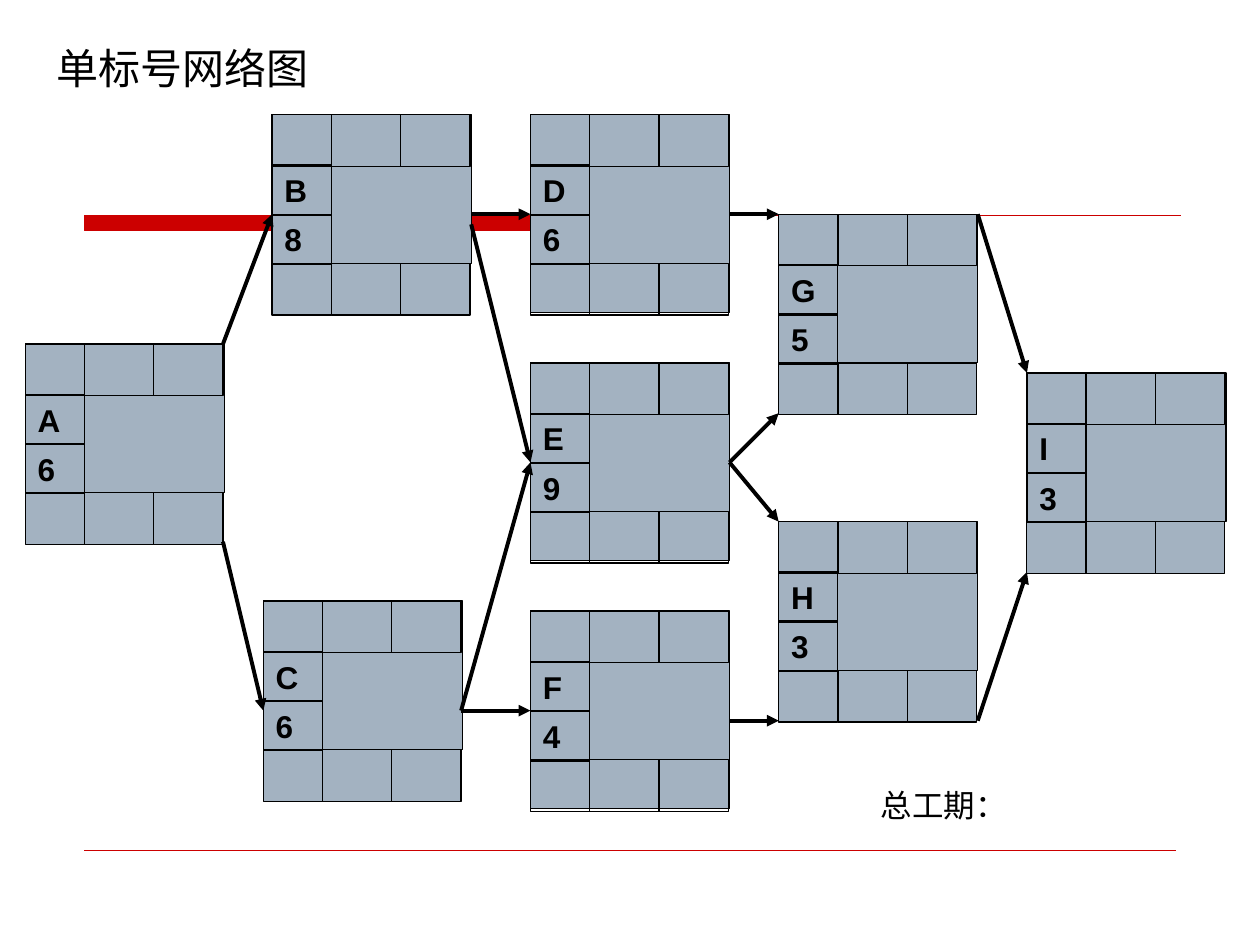
from pptx import Presentation
from pptx.dml.color import RGBColor
from pptx.enum.shapes import MSO_CONNECTOR, MSO_SHAPE
from pptx.enum.text import MSO_ANCHOR, MSO_AUTO_SIZE, PP_ALIGN
from pptx.oxml.ns import qn
from pptx.util import Inches, Pt
from lxml.etree import SubElement

RED = RGBColor(0xCC, 0x00, 0x00)
BLACK = RGBColor(0x00, 0x00, 0x00)
STEEL = RGBColor(0xA3, 0xB2, 0xC1)

deck = Presentation()
deck.slide_width = Inches(10)
deck.slide_height = Inches(7.5)
slide = deck.slides.add_slide(deck.slide_layouts[5])
shapes = slide.shapes


def write(shape, text, size, bold=False):
    frame = shape.text_frame
    frame.text = text
    frame.word_wrap = True
    frame.auto_size = MSO_AUTO_SIZE.NONE
    frame.vertical_anchor = MSO_ANCHOR.TOP
    line = frame.paragraphs[0]
    line.alignment = PP_ALIGN.LEFT
    font = line.runs[0].font
    font.name = "Arial"
    font.size = Pt(size)
    font.bold = bold
    font.color.rgb = BLACK


def draw(start, end, color, width, arrow=False):
    line = shapes.add_connector(
        MSO_CONNECTOR.STRAIGHT, *[Inches(v) for v in start + end])
    line.line.color.rgb = color
    line.line.width = Pt(width)
    props = line._element.spPr
    if arrow:
        SubElement(props.find(qn("a:ln")), qn("a:tailEnd"), type="triangle")
    SubElement(props, qn("a:effectLst"))


title = shapes.title
title.left, title.top = Inches(0.35), Inches(0.29)
title.width, title.height = Inches(2.76), Inches(0.5)
write(title, "单标号网络图", 24)

left, mid, right = Inches(0.67), Inches(5.76), Inches(9.37)
top, base = Inches(1.71), Inches(1.83)
pen = shapes.build_freeform(left, top)
pen.add_line_segments([(mid, top), (mid, base), (left, base)], close=True)
pen.move_to(left, top)
pen.add_line_segments([(right, top)], close=False)
band = pen.convert_to_shape()
band.shadow.inherit = False
band.fill.solid()
band.fill.fore_color.rgb = RED
band.line.color.rgb = RED
band.line.width = Pt(0.75)
draw((0.67, 6.75), (9.33, 6.75), RED, 0.25)

nodes = [
    ("A", "6", 0.2, 2.73), ("B", "8", 2.16, 0.91), ("C", "6", 2.09, 4.77),
    ("D", "6", 4.21, 0.91), ("E", "9", 4.21, 2.88), ("F", "4", 4.21, 4.85),
    ("G", "5", 6.18, 1.7), ("H", "3", 6.18, 4.14), ("I", "3", 8.15, 2.96),
]
columns = [(0, 0.47), (0.47, 0.55), (1.02, 0.55)]
for name, days, left, top in nodes:
    tall = name in "DEF"
    cells = [(0, 0, 1.58, 1.57 if tall else 1.18, True, "")]
    cells += [(x, 0, w, 0.41, False, "") for x, w in columns]
    cells += [(x, 1.18, w, 0.41, not tall, "") for x, w in columns]
    cells += [(0, 0.4, 0.47, 0.4, False, name), (0, 0.79, 0.47, 0.4, False, days)]
    group = shapes.add_group_shape()
    for x, y, width, height, filled, text in cells:
        cell = group.shapes.add_shape(
            MSO_SHAPE.RECTANGLE, Inches(left + x), Inches(top + y),
            Inches(width), Inches(height))
        cell.shadow.inherit = False
        cell.line.color.rgb = BLACK
        cell.line.width = Pt(0.75)
        if filled:
            cell.fill.solid()
            cell.fill.fore_color.rgb = STEEL
        else:
            cell.fill.background()
        if text:
            write(cell, text, 18, True)

arrows = [
    ((1.77, 2.73), (2.16, 1.7)), ((1.77, 4.3), (2.09, 5.64)),
    ((3.74, 1.78), (4.21, 3.67)), ((3.66, 5.64), (4.21, 3.67)),
    ((3.74, 1.7), (4.21, 1.7)), ((3.66, 5.64), (4.21, 5.64)),
    ((5.79, 1.7), (6.18, 1.7)), ((5.79, 5.72), (6.18, 5.72)),
    ((5.79, 3.67), (6.18, 3.28)), ((5.79, 3.67), (6.18, 4.14)),
    ((7.76, 1.7), (8.15, 2.96)), ((7.76, 5.72), (8.15, 4.54)),
]
for start, end in arrows:
    draw(start, end, BLACK, 2.25, True)

total = shapes.add_textbox(Inches(6.89), Inches(6.19), Inches(2.21), Inches(0.4))
write(total, "总工期：", 18)

deck.save("out.pptx")
